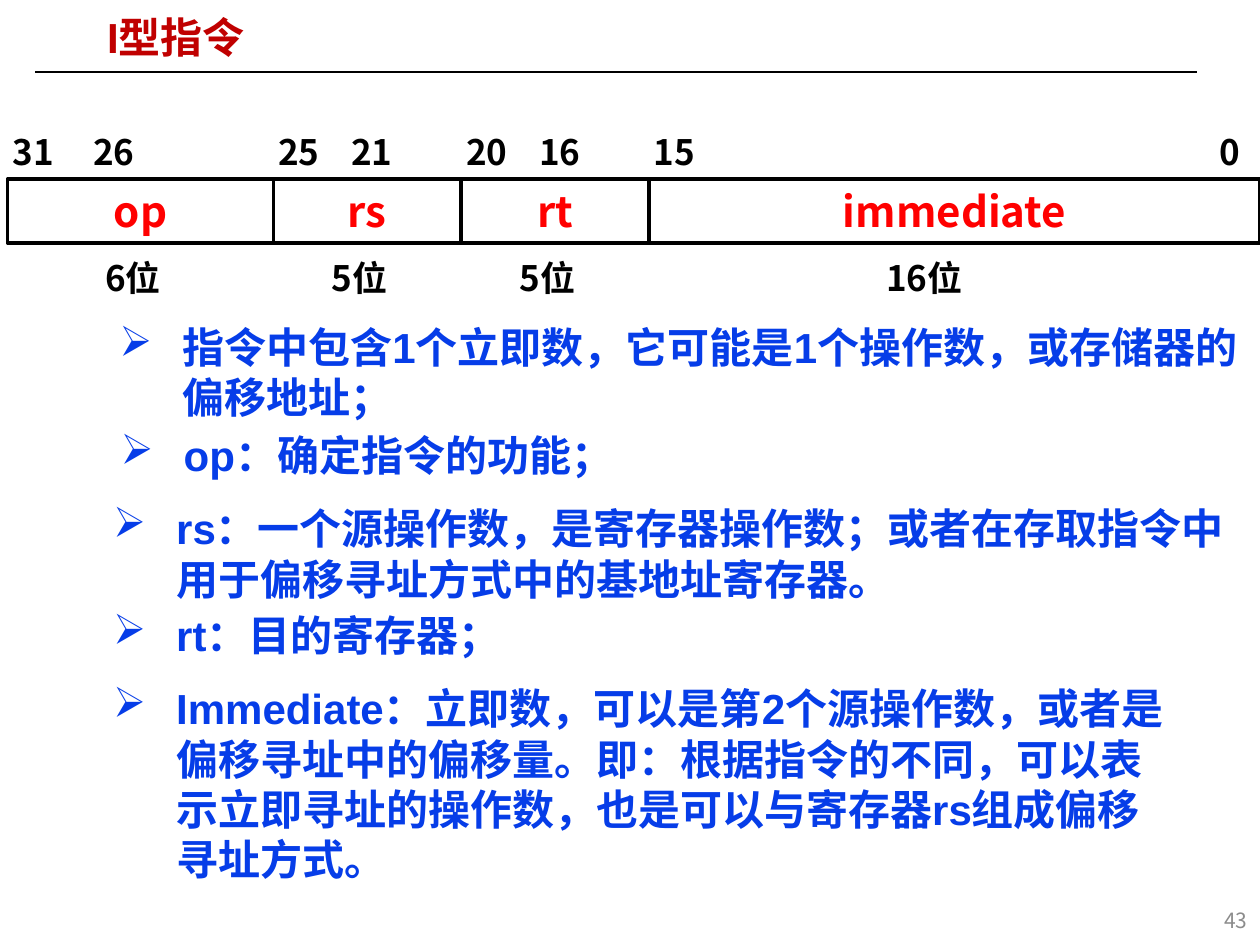
from typing import NamedTuple

from lxml import etree
from pptx import Presentation
from pptx.dml.color import RGBColor
from pptx.enum.shapes import MSO_CONNECTOR, MSO_SHAPE
from pptx.enum.text import MSO_ANCHOR, PP_ALIGN
from pptx.oxml.ns import qn
from pptx.util import Inches, Pt

LEFT, MID, RIGHT = PP_ALIGN.LEFT, PP_ALIGN.CENTER, PP_ALIGN.RIGHT
CENTER, TOP = MSO_ANCHOR.MIDDLE, MSO_ANCHOR.TOP
RECT, LINE = MSO_SHAPE.RECTANGLE, MSO_CONNECTOR.STRAIGHT
LATIN, HAN = "Arial", "Noto Sans CJK SC"
COLORS = {"title": "C00000", "note": "063DE8", "field": "FF0000",
          "ink": "000000", "page": "8C8C8C", "paper": "FFFFFF"}
ROW_H, SHIFT = 0.51, 0.06  # labels sit slightly left of their fields


class Box(NamedTuple):
    x: float
    y: float
    w: float
    h: float


class Style(NamedTuple):
    size: int
    face: str
    color: str
    bold: bool = True


class Field(NamedTuple):
    name: str
    width: float
    bits: str
    tab: float = 0


class Note(NamedTuple):
    box: Box
    text: str


FIELDS = [Field("op", 2.11, "31\t26", 0.64), Field("rs", 1.49, "25\t21", 0.58),
          Field("rt", 1.49, "20\t16", 0.58), Field("immediate", 4.85, "15")]
SIZES = [(0, 2.11, "6位"), (2.11, 1.49, "5位"),
         (3.6, 1.49, "5位"), (6.59, 1.49, "16位")]
NOTES = [
    Note(Box(0.85, 2.5, 9.14, 0.92),
         "指令中包含1个立即数，它可能是1个操作数，或存储器的偏移地址；"),
    Note(Box(0.86, 3.36, 8.58, 0.51), "op：确定指令的功能；"),
    Note(Box(0.8, 3.94, 9.09, 0.92),
         "rs：一个源操作数，是寄存器操作数；或者在存取指令中用于偏移寻址方式中的基地址寄存器。"),
    Note(Box(0.8, 4.79, 8.58, 0.51), "rt：目的寄存器；"),
    Note(Box(0.8, 5.37, 8.58, 2.13),
         "Immediate：立即数，可以是第2个源操作数，或者是偏移寻址中的偏移量。"
         "即：根据指令的不同，可以表示立即寻址的操作数，也是可以与寄存器rs组成偏移寻址方式。"),
]
TITLE = Style(24, LATIN, "title")
NOTE = Style(24, LATIN, "note")
FIELD = Style(24, HAN, "field")
LABEL = Style(20, HAN, "ink")
PAGE = Style(12, HAN, "page", False)


def rgb(key: str) -> RGBColor:
    return RGBColor.from_string(COLORS[key])


def write(shape, text: str, style: Style, align=LEFT, anchor=CENTER,
          tab: float = 0, bullet: str = ""):
    """Fill a shape with one paragraph and return that paragraph."""
    frame = shape.text_frame
    frame.word_wrap = True
    frame.vertical_anchor = anchor
    para = frame.paragraphs[0]
    para.text = text
    para.alignment = align
    props = para._p.get_or_add_pPr()
    if bullet:
        props.set("marL", str(Inches(0.5)))
        props.set("indent", str(-Inches(0.5)))
        etree.SubElement(props, qn("a:buChar"), char=bullet)
    if tab:
        stops = etree.SubElement(props, qn("a:tabLst"))
        etree.SubElement(stops, qn("a:tab"), pos=str(Inches(tab)), algn="l")
    font = para.font
    font.size, font.name, font.bold = Pt(style.size), style.face, style.bold
    font.color.rgb = rgb(style.color)
    return para


def add_text(slide, box: Box, text: str, style: Style, **opts):
    shape = slide.shapes.add_textbox(*map(Inches, box))
    write(shape, text, style, **opts)
    return shape


def add_field(slide, box: Box, name: str) -> None:
    shape = slide.shapes.add_shape(RECT, *map(Inches, box))
    shape.shadow.inherit = False
    shape.fill.solid()
    shape.fill.fore_color.rgb = rgb("paper")
    shape.line.color.rgb = rgb("ink")
    shape.line.width = Pt(2)
    write(shape, name, FIELD, align=MID)


def add_head(slide) -> None:
    """Draw the title and the rule below it."""
    rule = slide.shapes.add_connector(
        LINE, *map(Inches, (0.28, 0.57, 9.5, 0.57)))
    rule.line.color.rgb = rgb("ink")
    rule.line.width = Pt(1)
    etree.SubElement(rule._element.spPr, qn("a:effectLst"))
    title = add_text(slide, Box(0.78, 0.12, 8.6, 0.41), "I型指令", TITLE,
                     anchor=TOP)
    frame = title.text_frame
    frame.margin_left = frame.margin_right = Inches(0.07)
    frame.margin_top = frame.margin_bottom = Inches(0.03)
    frame.paragraphs[0].line_spacing = 0.87


def add_format(slide) -> None:
    """Draw the fields with bit numbers above and sizes below."""
    x = SHIFT
    for name, width, bits, tab in FIELDS:
        add_field(slide, Box(x, 1.42, width, ROW_H), name)
        add_text(slide, Box(x - SHIFT, 0.95, min(width, 2.11), ROW_H), bits,
                 LABEL, tab=tab)
        x += width
    add_text(slide, Box(8.08, 0.95, 1.86, ROW_H), "0", LABEL, align=RIGHT)
    for left, width, text in SIZES:
        add_text(slide, Box(left, 1.95, width, ROW_H), text, LABEL, align=MID)


def main() -> None:
    deck = Presentation()
    deck.slide_width, deck.slide_height = Inches(10), Inches(7.5)
    slide = deck.slides.add_slide(deck.slide_layouts[6])
    add_head(slide)
    for box, text in NOTES:
        add_text(slide, box, text, NOTE, anchor=TOP, bullet="➢")
    add_format(slide)
    add_text(slide, Box(7.75, 7.1, 2.25, 0.4), "43", PAGE, align=RIGHT)
    deck.save("out.pptx")


if __name__ == "__main__":
    main()
